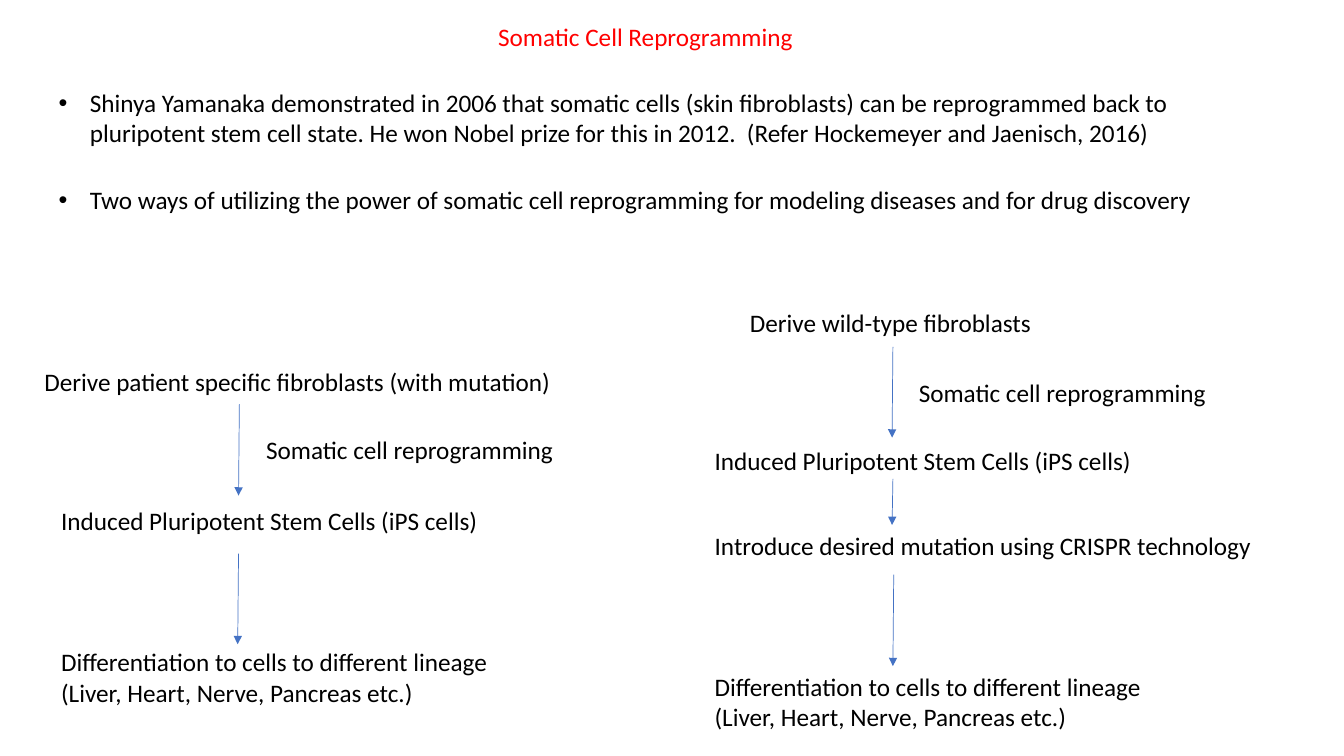
from lxml.etree import SubElement
from pptx import Presentation
from pptx.dml.color import RGBColor
from pptx.enum.shapes import MSO_CONNECTOR
from pptx.enum.text import MSO_ANCHOR, MSO_AUTO_SIZE, PP_ALIGN
from pptx.oxml.ns import qn
from pptx.util import Inches, Pt

BLACK = RGBColor(0x00, 0x00, 0x00)
RED = RGBColor(0xFF, 0x00, 0x00)
BLUE = RGBColor(0x44, 0x72, 0xC4)

COLS, ROWS = 160, 90
LINE_ROWS = {1: 4.8, 2: 8.5}


class Deck:
    font = {"name": "Calibri", "size": Pt(18), "bold": False}
    frame = {"vertical_anchor": MSO_ANCHOR.TOP,
             "auto_size": MSO_AUTO_SIZE.SHAPE_TO_FIT_TEXT}

    def __init__(self, prs):
        self.prs = prs
        self.s = prs.slides.add_slide(prs.slide_layouts[5])

    def x(self, cols):
        return round(self.prs.slide_width * cols / COLS)

    def y(self, rows):
        return round(self.prs.slide_height * rows / ROWS)

    def box(self, col, row, width, height):
        return self.x(col), self.y(row), self.x(width), self.y(height)

    def fill_text(self, sp, lines, color=BLACK, wrap=True):
        tf = sp.text_frame
        for name, value in {**self.frame, "word_wrap": wrap}.items():
            setattr(tf, name, value)
        for i, line in enumerate(lines):
            p = tf.add_paragraph() if i else tf.paragraphs[0]
            p.alignment = PP_ALIGN.LEFT
            r = p.add_run()
            r.text = line
            for name, value in self.font.items():
                setattr(r.font, name, value)
            r.font.color.rgb = color

    def title(self, text, col, row, width):
        sp = self.s.shapes.title
        sides = ("left", "top", "width", "height")
        for name, value in zip(sides, self.box(col, row, width, LINE_ROWS[1])):
            setattr(sp, name, value)
        self.fill_text(sp, [text], RED)

    def text(self, lines, col, row, width):
        place = self.box(col, row, width, LINE_ROWS[len(lines)])
        self.fill_text(self.s.shapes.add_textbox(*place), lines, wrap=False)

    def bullet(self, text, row, line_count):
        place = self.box(5.8, row, 138.7, LINE_ROWS[line_count])
        sp = self.s.shapes.add_textbox(*place)
        self.fill_text(sp, [text])
        pPr = sp.text_frame.paragraphs[0]._p.get_or_add_pPr()
        indent = Inches(0.31)
        pPr.set("marL", str(indent))
        pPr.set("indent", str(-indent))
        SubElement(pPr, qn("a:buFont")).set("typeface", "Arial")
        SubElement(pPr, qn("a:buChar")).set("char", "•")

    def arrow(self, col, top, bottom):
        sp = self.s.shapes.add_connector(
            MSO_CONNECTOR.STRAIGHT, self.x(col), self.y(top),
            self.x(col - 0.1), self.y(bottom))
        sp.line.color.rgb = BLUE
        sp.line.width = Pt(0.5)
        spPr = sp._element.spPr
        SubElement(spPr.find(qn("a:ln")), qn("a:tailEnd")).set("type", "triangle")
        SubElement(spPr, qn("a:effectLst"))


REPROGRAM = ["Somatic cell reprogramming"]
IPS = ["Induced Pluripotent Stem Cells (iPS cells)"]
LINEAGE = ["Differentiation to cells to different lineage",
           "(Liver, Heart, Nerve, Pancreas etc.)"]

STEPS = [
    (["Derive patient specific fibroblasts (with mutation)"], 4.1, 43, 63.4),
    (["Derive wild-type fibroblasts"], 88.1, 36, 36.2),
    (["Introduce desired mutation using CRISPR technology"], 83.9, 62.5, 67.1),
]
ROUTES = [
    {"col": 6.1, "label": (30.5, 51.1), "ips": 59.6, "lineage": 76.4,
     "arrows": [(28.5, 48.1, 59), (28.4, 65.9, 76.7)]},
    {"col": 83.9, "label": (108.2, 44.3), "ips": 52.4, "lineage": 79.3,
     "arrows": [(106.3, 41.3, 52.1), (106.3, 57, 62.5), (106.4, 68.4, 79.3)]},
]

prs = Presentation()
prs.slide_width, prs.slide_height = Inches(13.33), Inches(7.5)
deck = Deck(prs)

deck.title("Somatic Cell Reprogramming", 58.1, 1.9, 40.9)
deck.bullet("Shinya Yamanaka demonstrated in 2006 that somatic cells (skin "
            "fibroblasts) can be reprogrammed back to pluripotent stem cell "
            "state. He won Nobel prize for this in 2012.  (Refer Hockemeyer "
            "and Jaenisch, 2016)", 9.8, 2)
deck.bullet("Two ways of utilizing the power of somatic cell reprogramming "
            "for modeling diseases and for drug discovery", 21.4, 1)

for step in STEPS:
    deck.text(*step)
for route in ROUTES:
    deck.text(REPROGRAM, *route["label"], 37)
    deck.text(IPS, route["col"], route["ips"], 52.6)
    deck.text(LINEAGE, route["col"], route["lineage"], 53.9)
    for arrow in route["arrows"]:
        deck.arrow(*arrow)

prs.save("out.pptx")
